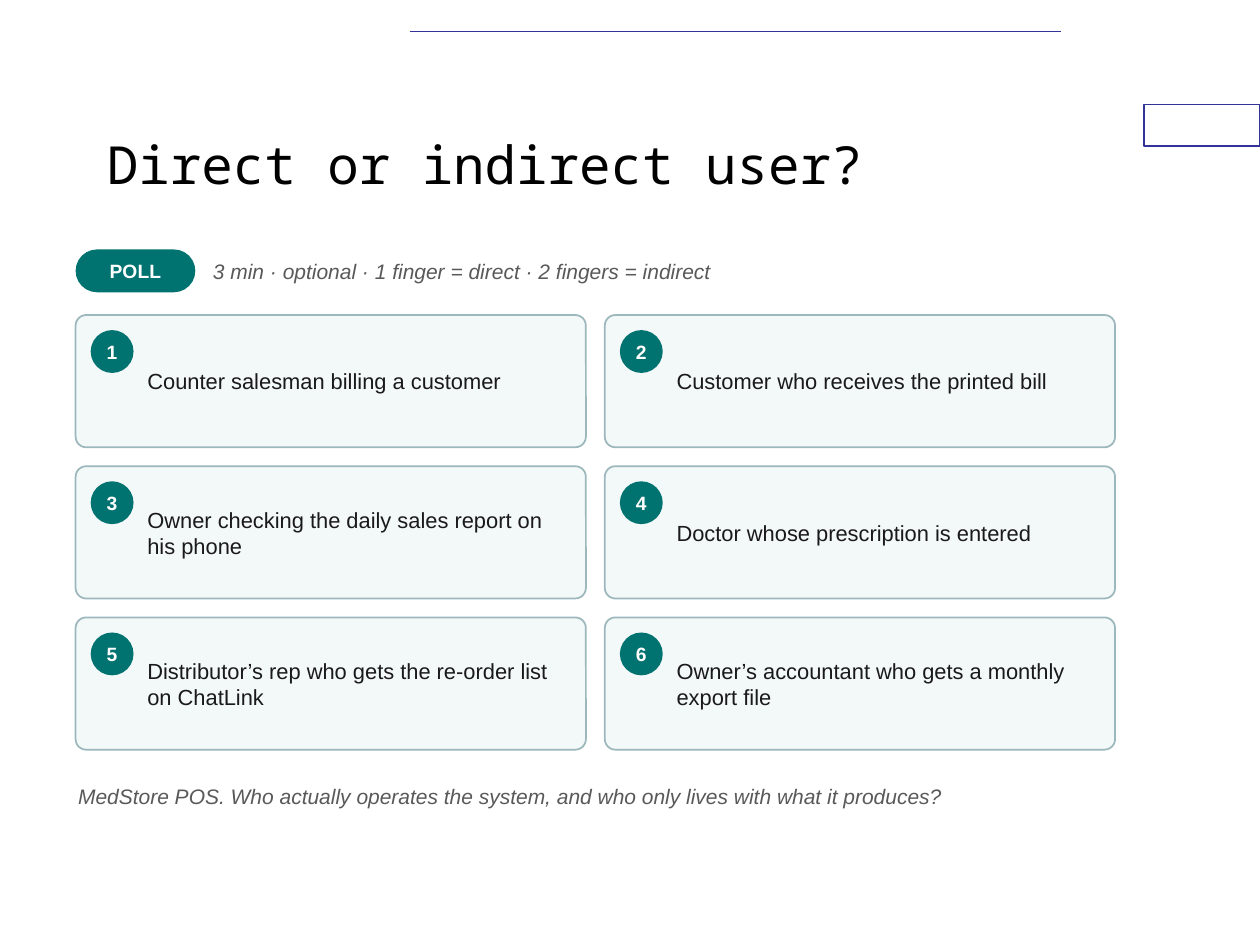
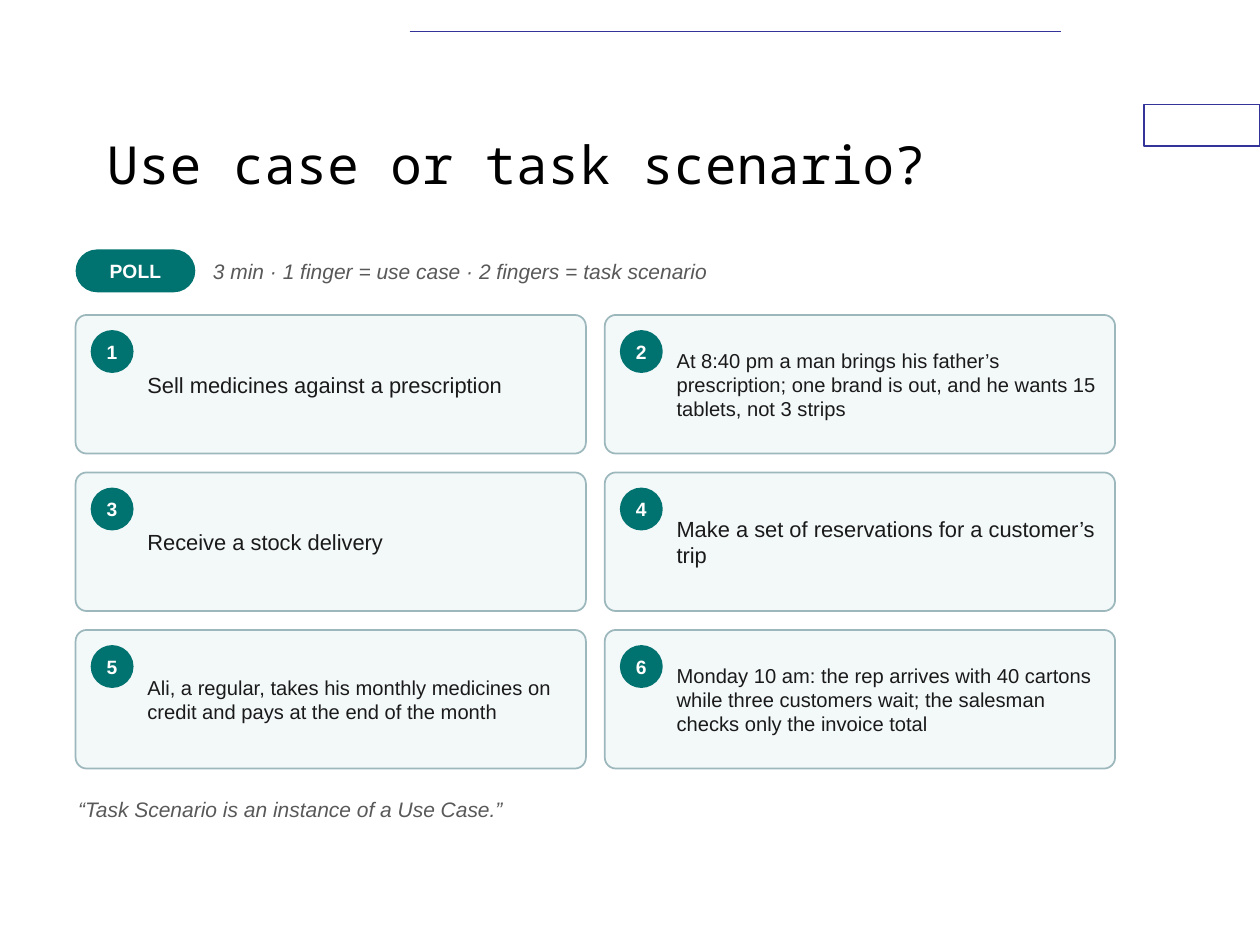
from lxml import etree
from pptx import Presentation
from pptx.dml.color import RGBColor
from pptx.enum.shapes import MSO_CONNECTOR, MSO_SHAPE
from pptx.enum.text import MSO_ANCHOR, PP_ALIGN
from pptx.oxml.ns import qn
from pptx.util import Inches, Pt

COLORS = {
    "navy": "333399", "teal": "00726F", "card": "F3F8F9", "edge": "9DB8BC",
    "white": "FFFFFF", "black": "000000", "ink": "1A1A1A", "gray": "595959",
}
LEFT, CARDS_TOP = 0.6, 2.5
CARD_W, GAP, COLUMNS = 4.05, 0.15, 2
BADGE = 0.34
LONG_TEXT = 70  # longer card texts are set one point smaller

POLLS = [
    {
        "title": "Direct or indirect user?",
        "rules": "3 min · optional · 1 finger = direct · 2 fingers = indirect",
        "cards": [
            "Counter salesman billing a customer",
            "Customer who receives the printed bill",
            "Owner checking the daily sales report on his phone",
            "Doctor whose prescription is entered",
            "Distributor’s rep who gets the re-order list on ChatLink",
            "Owner’s accountant who gets a monthly export file",
        ],
        "card_h": 1.05, "pad": 0.08, "note_top": 6.2,
        "note": "MedStore POS. Who actually operates the system, "
                "and who only lives with what it produces?",
    },
    {
        "title": "Use case or task scenario?",
        "rules": "3 min · 1 finger = use case · 2 fingers = task scenario",
        "cards": [
            "Sell medicines against a prescription",
            "At 8:40 pm a man brings his father’s prescription; "
            "one brand is out, and he wants 15 tablets, not 3 strips",
            "Receive a stock delivery",
            "Make a set of reservations for a customer’s trip",
            "Ali, a regular, takes his monthly medicines on credit "
            "and pays at the end of the month",
            "Monday 10 am: the rep arrives with 40 cartons while three "
            "customers wait; the salesman checks only the invoice total",
        ],
        "card_h": 1.1, "pad": 0.06, "note_top": 6.3,
        "note": "“Task Scenario is an instance of a Use Case.”",
    },
]


def add_box(s, kind, x, y, w, h, fill, line=None, line_w=1, radius=None):
    """Add a filled preset shape; without a line colour it has no outline."""
    sp = s.shapes.add_shape(kind, Inches(x), Inches(y), Inches(w), Inches(h))
    sp.shadow.inherit = False
    sp.fill.solid()
    sp.fill.fore_color.rgb = RGBColor.from_string(COLORS[fill])
    if line:
        sp.line.color.rgb = RGBColor.from_string(COLORS[line])
        sp.line.width = Pt(line_w)
    else:
        sp.line.fill.background()
    if radius is not None:
        sp.adjustments[0] = radius
    return sp


def write(sp, text, size, color, font="Arial", inset=(0.02, 0.02), bold=False,
          italic=False, align=PP_ALIGN.LEFT, anchor=MSO_ANCHOR.MIDDLE):
    """Fill a shape or text box; inset is (horizontal, vertical) in inches."""
    tf = sp.text_frame
    tf.word_wrap = True
    tf.vertical_anchor = anchor
    tf.margin_left = tf.margin_right = Inches(inset[0])
    tf.margin_top = tf.margin_bottom = Inches(inset[1])
    tf.text = text
    p = tf.paragraphs[0]
    p.alignment = align
    f = p.runs[0].font
    f.name, f.size, f.bold, f.italic = font, Pt(size), bold, italic
    f.color.rgb = RGBColor.from_string(COLORS[color])


prs = Presentation()
prs.slide_width, prs.slide_height = Inches(10), Inches(7.5)

for poll in POLLS:
    s = prs.slides.add_slide(prs.slide_layouts[6])

    # Frame and title
    add_box(s, MSO_SHAPE.RECTANGLE, 9.08, 0.83, 0.92, 0.33, "white", "navy", 0.75)
    rule = s.shapes.add_connector(MSO_CONNECTOR.STRAIGHT, Inches(3.25), Inches(0.25),
                                  Inches(8.42), Inches(0.25))
    rule.line.color.rgb = RGBColor.from_string(COLORS["navy"])
    rule.line.width = Pt(1)
    etree.SubElement(rule._element.spPr, qn("a:effectLst"))
    title = s.shapes.add_textbox(Inches(0.75), Inches(0.67), Inches(7.5), Inches(1.25))
    write(title, poll["title"], 30, "black", "Noto Sans Mono", inset=(0.1, 0.05))

    # Poll label and voting rules
    pill = add_box(s, MSO_SHAPE.ROUNDED_RECTANGLE, LEFT, 1.98, 0.95, 0.34, "teal",
                   radius=0.5)
    write(pill, "POLL", 11, "white", inset=(0.03, 0.03), bold=True,
          align=PP_ALIGN.CENTER)
    rules = s.shapes.add_textbox(Inches(1.67), Inches(1.98), Inches(7.23), Inches(0.34))
    write(rules, poll["rules"], 12, "gray", italic=True)

    # Numbered cards
    card_h, pad = poll["card_h"], poll["pad"]
    for i, text in enumerate(poll["cards"]):
        row, col = divmod(i, COLUMNS)
        x = LEFT + col * (CARD_W + GAP)
        y = CARDS_TOP + row * (card_h + GAP)
        add_box(s, MSO_SHAPE.ROUNDED_RECTANGLE, x, y, CARD_W, card_h, "card", "edge",
                radius=0.08)
        badge = add_box(s, MSO_SHAPE.OVAL, x + 0.12, y + 0.12, BADGE, BADGE, "teal")
        write(badge, str(i + 1), 11, "white", inset=(0, 0), bold=True,
              align=PP_ALIGN.CENTER)
        label = s.shapes.add_textbox(Inches(x + 0.55), Inches(y + pad), Inches(3.4),
                                     Inches(card_h - 2 * pad))
        write(label, text, 11.5 if len(text) > LONG_TEXT else 12.5, "ink")

    note = s.shapes.add_textbox(Inches(LEFT), Inches(poll["note_top"]), Inches(8.3),
                                Inches(0.5))
    write(note, poll["note"], 12, "gray", italic=True, anchor=MSO_ANCHOR.TOP)

prs.save("out.pptx")
